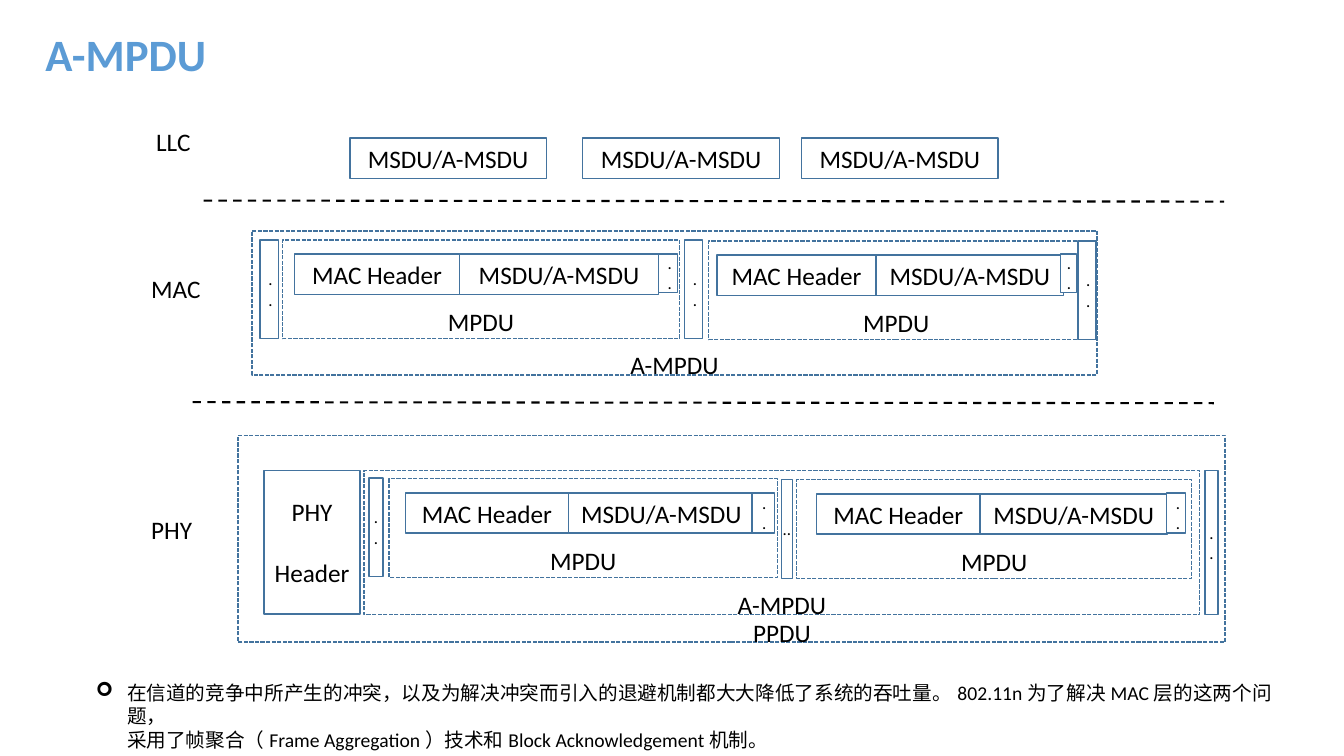
from dataclasses import dataclass

from lxml.etree import SubElement
from pptx import Presentation
from pptx.dml.color import RGBColor
from pptx.enum.dml import MSO_LINE
from pptx.enum.shapes import MSO_CONNECTOR, MSO_SHAPE
from pptx.enum.text import MSO_ANCHOR, MSO_AUTO_SIZE, PP_ALIGN
from pptx.oxml.ns import qn
from pptx.shapes.autoshape import Shape
from pptx.slide import Slide
from pptx.text.text import TextFrame, _Paragraph
from pptx.util import Emu, Pt

BLACK = RGBColor(0x00, 0x00, 0x00)
WHITE = RGBColor(0xFF, 0xFF, 0xFF)
TITLE_BLUE = RGBColor(0x5B, 0x9B, 0xD5)
OUTLINE_BLUE = RGBColor(0x43, 0x73, 0x9E)
FONT = "Calibri"
EMU_PER_PX = 9144  # 100 px to the inch

PAYLOAD = "MSDU/A-MSDU"
FIELD_HEIGHT = 40
MPDU_HEIGHT = 98


@dataclass(frozen=True)
class Box:
    left: int
    top: int
    width: int
    height: int
    text: str = ""


@dataclass(frozen=True)
class Frame:
    """Dashed box whose label starts label_top px below its upper edge."""
    box: Box
    label_top: int
    label_shift: int = 0


@dataclass(frozen=True)
class Mpdu:
    left: int
    top: int
    width: int
    header_left: int
    header_width: int
    payload_width: int


LAYER_LABELS = [
    Box(145, 120, 54, 40, "LLC"),
    Box(140, 266, 69, 40, "MAC"),
    Box(140, 505, 61, 40, "PHY"),
]
LAYER_DIVIDERS = [(202, 199, 1214, 200), (191, 399, 1204, 400)]
LLC_PAYLOAD_LEFTS = [347, 578, 795]
FRAMES = [
    Frame(Box(250, 229, 838, 143, "A-MPDU"), 118),
    Frame(Box(236, 432, 979, 205, "PPDU"), 180, 50),
    Frame(Box(361, 467, 829, 143, "A-MPDU"), 118),
]
MPDUS = [
    Mpdu(280, 238, 394, 292, 164, 197),
    Mpdu(703, 239, 372, 711, 158, 186),
    Mpdu(386, 475, 385, 402, 162, 184),
    Mpdu(790, 476, 392, 810, 162, 186),
]
PHY_HEADER = Box(262, 467, 95, 142)
ELIDED_FIELDS = [
    Box(653, 252, 19, 38),
    Box(1052, 252, 16, 38),
    Box(1195, 467, 13, 143),
    Box(258, 238, 18, 98),
    Box(679, 238, 18, 98),
    Box(1069, 239, 18, 98),
    Box(366, 474, 14, 98),
    Box(775, 476, 11, 98),
    Box(746, 489, 22, 40),
    Box(1157, 489, 19, 40),
]
NOTES = [
    "在信道的竞争中所产生的冲突，以及为解决冲突而引入的退避机制都大大降低了系统的吞吐量。"
    "802.11n为了解决MAC层的这两个问题，",
    "采用了帧聚合（Frame Aggregation）技术和Block Acknowledgement机制。",
]


def px(length: int) -> Emu:
    return Emu(length * EMU_PER_PX)


def place(shape: Shape, box: Box) -> None:
    shape.left, shape.top = px(box.left), px(box.top)
    shape.width, shape.height = px(box.width), px(box.height)


def add_run(paragraph: _Paragraph, text: str, size: int,
            color: RGBColor = BLACK, bold: bool = False) -> None:
    run = paragraph.add_run()
    run.text = text
    run.font.name = FONT
    run.font.size = Pt(size)
    run.font.bold = bold
    run.font.color.rgb = color


def add_box(slide: Slide, box: Box, size: int = 18, dashed: bool = False) -> TextFrame:
    shape = slide.shapes.add_shape(MSO_SHAPE.RECTANGLE, px(box.left), px(box.top),
                                   px(box.width), px(box.height))
    shape.shadow.inherit = False
    shape.fill.solid()
    shape.fill.fore_color.rgb = WHITE
    shape.line.color.rgb = OUTLINE_BLUE
    shape.line.width = Pt(1)
    if dashed:
        shape.line.dash_style = MSO_LINE.SQUARE_DOT
    text_frame = shape.text_frame
    text_frame.word_wrap = True
    text_frame.vertical_anchor = MSO_ANCHOR.MIDDLE
    paragraph = text_frame.paragraphs[0]
    paragraph.alignment = PP_ALIGN.CENTER
    if box.text:
        add_run(paragraph, box.text, size)
    return text_frame


def add_frame(slide: Slide, frame: Frame) -> None:
    text_frame = add_box(slide, frame.box, dashed=True)
    text_frame.vertical_anchor = MSO_ANCHOR.TOP
    text_frame.margin_top = px(frame.label_top)
    text_frame.margin_bottom = 0
    text_frame.margin_left = px(10 + 2 * frame.label_shift)


def add_mpdu(slide: Slide, mpdu: Mpdu) -> None:
    add_frame(slide, Frame(Box(mpdu.left, mpdu.top, mpdu.width, MPDU_HEIGHT, "MPDU"), 66))
    field_top = mpdu.top + 14
    add_box(slide, Box(mpdu.header_left + mpdu.header_width, field_top,
                       mpdu.payload_width, FIELD_HEIGHT, PAYLOAD))
    add_box(slide, Box(mpdu.header_left, field_top,
                       mpdu.header_width, FIELD_HEIGHT, "MAC Header"))


def add_phy_header(slide: Slide) -> None:
    text_frame = add_box(slide, PHY_HEADER)
    text_frame.margin_left = text_frame.margin_right = 0
    add_run(text_frame.paragraphs[0], "PHY", 18)
    paragraph = text_frame.add_paragraph()
    paragraph.alignment = PP_ALIGN.CENTER
    paragraph.space_before = Pt(22)
    add_run(paragraph, "Header", 18)


def add_layer_label(slide: Slide, box: Box) -> None:
    label = slide.shapes.add_textbox(px(box.left), px(box.top), px(box.width), px(box.height))
    label.text_frame.word_wrap = False
    add_run(label.text_frame.paragraphs[0], box.text, 18)


def add_divider(slide: Slide, x1: int, y1: int, x2: int, y2: int) -> None:
    divider = slide.shapes.add_connector(MSO_CONNECTOR.STRAIGHT, px(x1), px(y1), px(x2), px(y2))
    divider.line.color.rgb = BLACK
    divider.line.width = Pt(1.5)
    divider.line.dash_style = MSO_LINE.DASH
    SubElement(divider.element.spPr, qn("a:effectLst"))


def fill_title(title: Shape) -> None:
    place(title, Box(35, 21, 180, 64))
    text_frame = title.text_frame
    text_frame.word_wrap = False
    text_frame.auto_size = MSO_AUTO_SIZE.NONE
    paragraph = text_frame.paragraphs[0]
    paragraph.alignment = PP_ALIGN.LEFT
    add_run(paragraph, "A-MPDU", 32, TITLE_BLUE, bold=True)


def fill_notes(body: Shape) -> None:
    place(body, Box(85, 670, 1204, 57))
    text_frame = body.text_frame
    text_frame.word_wrap = True
    text_frame.auto_size = MSO_AUTO_SIZE.NONE
    for index, text in enumerate(NOTES):
        paragraph = text_frame.add_paragraph() if index else text_frame.paragraphs[0]
        paragraph.space_before = Pt(0)
        properties = paragraph._p.get_or_add_pPr()
        properties.set("marL", str(px(31)))
        properties.set("indent", str(px(0 if index else -31)))
        if index:
            SubElement(properties, qn("a:buNone"))
        else:
            SubElement(properties, qn("a:buFont"), typeface="Wingdings")
            SubElement(properties, qn("a:buChar"), char="➢")
        add_run(paragraph, text, 14)


def main() -> None:
    presentation = Presentation()
    presentation.slide_width, presentation.slide_height = px(1333), px(750)
    slide = presentation.slides.add_slide(presentation.slide_layouts[1])
    fill_title(slide.shapes.title)
    fill_notes(slide.placeholders[1])
    for label in LAYER_LABELS:
        add_layer_label(slide, label)
    for divider in LAYER_DIVIDERS:
        add_divider(slide, *divider)
    for left in LLC_PAYLOAD_LEFTS:
        add_box(slide, Box(left, 137, 195, FIELD_HEIGHT, PAYLOAD))
    for frame in FRAMES:
        add_frame(slide, frame)
    for mpdu in MPDUS:
        add_mpdu(slide, mpdu)
    add_phy_header(slide)
    for field in ELIDED_FIELDS:
        add_box(slide, Box(field.left, field.top, field.width, field.height, ".."), size=12)
    presentation.save("out.pptx")


if __name__ == "__main__":
    main()
